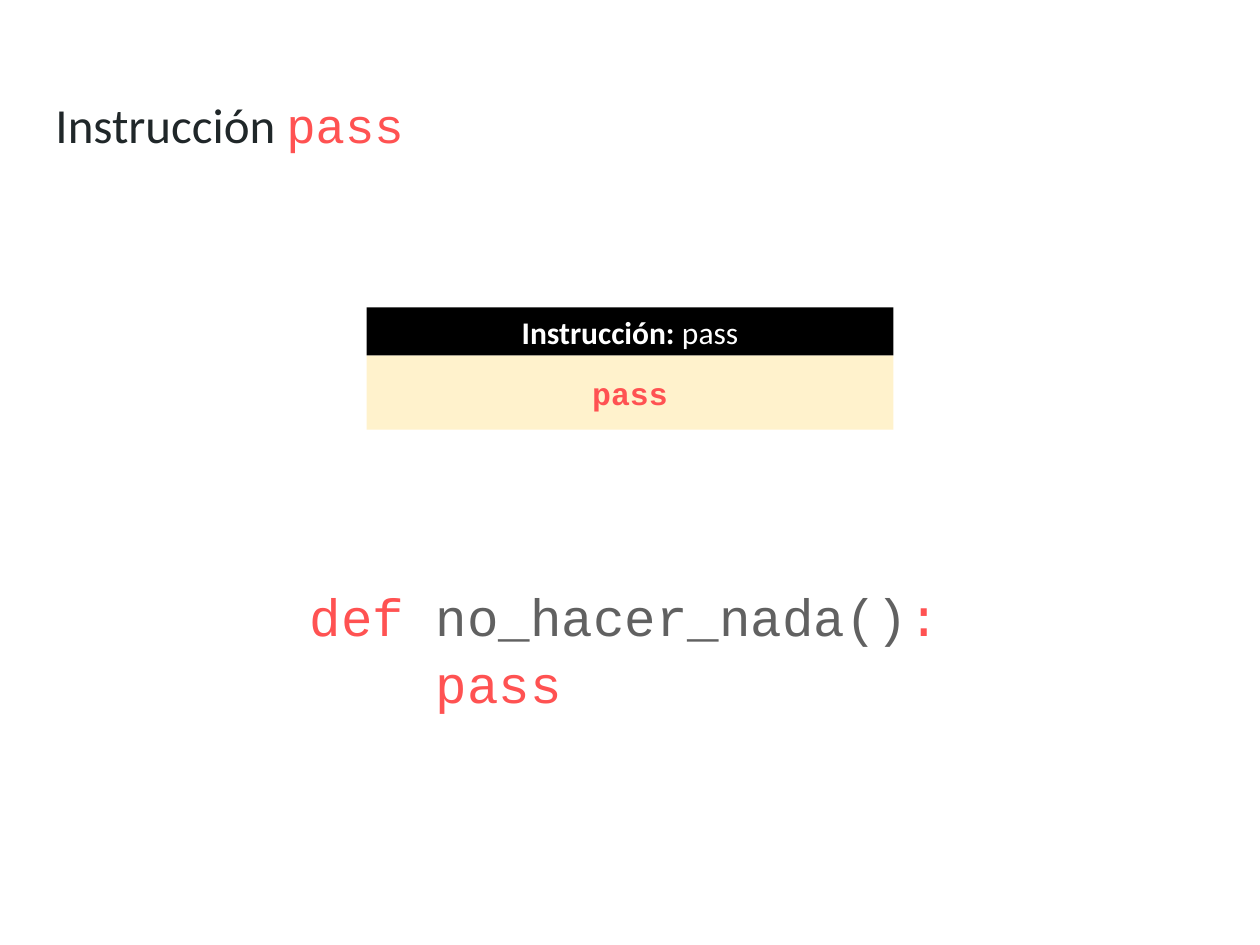
"""Build a slide that explains the pass statement."""
from typing import NamedTuple

from pptx import Presentation
from pptx.dml.color import RGBColor
from pptx.enum.shapes import MSO_SHAPE as Preset
from pptx.enum.text import MSO_ANCHOR as Anchor, MSO_AUTO_SIZE as AutoSize, PP_ALIGN as Align
from pptx.oxml.ns import qn
from pptx.util import Inches, Pt

INK = RGBColor(0x20, 0x27, 0x29)
CORAL = RGBColor(0xFF, 0x52, 0x52)
GREY = RGBColor(0x61, 0x61, 0x61)
CREAM = RGBColor(0xFF, 0xF2, 0xCC)
BLACK = RGBColor(0x00, 0x00, 0x00)
WHITE = RGBColor(0xFF, 0xFF, 0xFF)
SANS = "Calibri"
MONO = "Courier New"

CARD_LEFT, CARD_TOP, CARD_WIDTH = 2.91, 2.44, 4.18
HEADER_HEIGHT, SYNTAX_HEIGHT = 0.38, 0.59


class Span(NamedTuple):
    text: str
    color: RGBColor
    font: str = MONO
    bold: bool = False


class Block(NamedTuple):
    left: float
    top: float
    width: float
    height: float
    size: int
    lines: list[list[Span]]
    align: Align = Align.LEFT
    anchor: Anchor = Anchor.MIDDLE
    spacing: float = 1.0


def write_block(shape, block: Block) -> None:
    """Place a shape and fill it with formatted lines."""
    shape.left, shape.top = Inches(block.left), Inches(block.top)
    shape.width, shape.height = Inches(block.width), Inches(block.height)
    frame = shape.text_frame
    frame.word_wrap = True
    frame.auto_size = AutoSize.NONE
    frame.vertical_anchor = block.anchor
    frame.margin_left = frame.margin_right = Inches(0.1)
    frame.margin_top = frame.margin_bottom = Inches(0.1)
    frame.text = "\n".join("" for _ in block.lines)
    for para, spans in zip(frame.paragraphs, block.lines):
        para.alignment = block.align
        para.line_spacing = block.spacing
        para.space_before = Pt(0)
        properties = para._p.get_or_add_pPr()
        properties.set("marL", "0")
        properties.set("indent", "0")
        properties.append(properties.makeelement(qn("a:buNone"), {}))
        for span in spans:
            run = para.add_run()
            run.text = span.text
            run.font.name = span.font
            run.font.size = Pt(block.size)
            run.font.bold = span.bold
            run.font.color.rgb = span.color


def paint(shape, color: RGBColor) -> None:
    """Give a shape a plain fill without an outline."""
    shape.fill.solid()
    shape.fill.fore_color.rgb = color
    shape.line.fill.background()


def main() -> None:
    """Build and save the deck."""
    deck = Presentation()
    deck.slide_width, deck.slide_height = Inches(10), Inches(7.5)
    page = deck.slides.add_slide(deck.slide_layouts.get_by_name("Two Content"))
    title, code, syntax = list(page.placeholders)[:3]

    write_block(title, Block(
        0.34, 0.65, 9.32, 0.83, 28,
        [[Span("Instrucción ", INK, SANS), Span("pass", CORAL)]],
        anchor=Anchor.TOP))
    write_block(code, Block(
        2.36, 4.54, 5.28, 1.19, 30,
        [[Span("def", CORAL), Span(" no_hacer_nada()", GREY), Span(":", CORAL)],
         [Span("    pass", CORAL)]],
        spacing=1.06))
    write_block(syntax, Block(
        CARD_LEFT, CARD_TOP + HEADER_HEIGHT, CARD_WIDTH, SYNTAX_HEIGHT, 18,
        [[Span("pass", CORAL, bold=True)]], Align.CENTER))
    paint(syntax, CREAM)

    header = page.shapes.add_shape(Preset.RECTANGLE, 0, 0, 0, 0)
    header.shadow.inherit = False
    write_block(header, Block(
        CARD_LEFT, CARD_TOP, CARD_WIDTH, HEADER_HEIGHT, 18,
        [[Span("Instrucción:", WHITE, SANS, True), Span(" pass", WHITE, SANS)]],
        Align.CENTER))
    paint(header, BLACK)

    deck.save("out.pptx")


if __name__ == "__main__":
    main()
